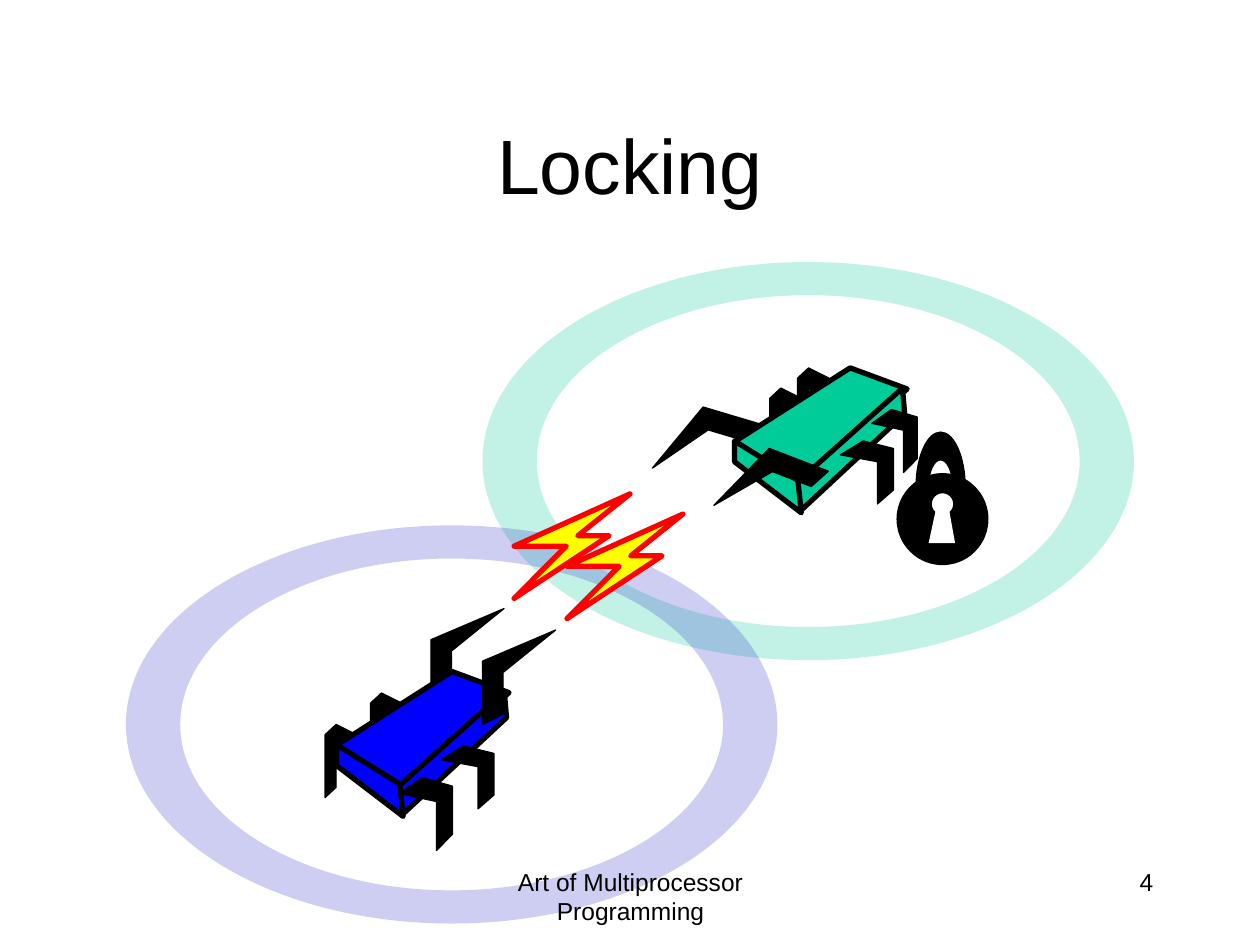
from dataclasses import dataclass
from math import cos, pi, sin

from lxml.etree import SubElement
from pptx import Presentation
from pptx.dml.color import RGBColor
from pptx.enum.shapes import MSO_SHAPE as Preset
from pptx.enum.text import MSO_ANCHOR as Anchor, PP_ALIGN as Align
from pptx.oxml.ns import qn
from pptx.util import Inches, Pt


@dataclass(frozen=True)
class Theme:
    """Colours, type sizes and line widths of the slide."""
    black: str = "000000"
    white: str = "FFFFFF"
    green: str = "00CC99"
    blue: str = "0000FF"
    violet: str = "3333CC"
    yellow: str = "FFFF00"
    red: str = "FF0000"
    font: str = "Arial"
    title: int = 44
    footer: int = 14
    hairline: float = 0.75
    bold_line: float = 3
    ring_alpha: int = 24


THEME = Theme()

FORELEG = [(0, 1), (0.28, 0.89), (0.28, 0.45), (1, 0), (0, 0.33)]
MIRRORED_FORELEG = [(1 - x, y) for x, y in FORELEG]
FAR_LEG = [(1, 0.14), (0.35, 0), (0, 0.14), (0, 1), (0.35, 0.86), (0.35, 0.29), (1, 0.43)]
NEAR_LEG = [(0.43, 0), (0, 0.22), (0.7, 0.33), (0.7, 1), (1, 0.78), (1, 0.12)]
BODY_TOP = [(0.67, 0), (0, 0.63), (0.38, 1), (1, 0.18)]
BODY_SIDE = [(0.98, 0), (0, 0.76), (0.02, 1), (1, 0.21)]
BODY_FRONT = [(0, 0), (0, 0.29), (1, 1), (0.95, 0.55)]
BOLT = [(0, 1), (0.45, 0.5), (0, 0.5), (1, 0), (0.55, 0.4), (0.82, 0.4)]
KEYHOLE = [(0, 1), (0.29, 0), (0.76, 0), (1, 1)]


def arc(centre, radii, start, quarters, turn=1):
    """Return the start, control and end points of quarter-ellipse curves."""
    def point(angle, pull=0):
        """Return a point on the ellipse, pulled along its tangent."""
        return (centre[0] + radii[0] * (cos(angle) - pull * sin(angle)),
                centre[1] + radii[1] * (sin(angle) + pull * cos(angle)))

    pull = turn * 4 / 3 * (2 ** 0.5 - 1)
    points = [point(start)]
    for quarter in range(quarters):
        here = start + turn * quarter * pi / 2
        there = here + turn * pi / 2
        points += [point(here, pull), point(there, -pull), point(there)]
    return points


def bend(outline, starts):
    """Turn the three line segments from each start into one curve."""
    segments = list(outline._element.iter(qn("a:lnTo")))
    for start in starts:
        curve, *others = segments[start:start + 3]
        curve.tag = qn("a:cubicBezTo")
        for other in others:
            curve.append(other[0])
            other.getparent().remove(other)


def paint(shape, fill, line=None, width=THEME.hairline):
    """Apply a solid fill and a round-jointed line, or no line."""
    shape.shadow.inherit = False
    shape.fill.solid()
    shape.fill.fore_color.rgb = RGBColor.from_string(fill)
    if line is None:
        shape.line.fill.background()
        return
    shape.line.color.rgb = RGBColor.from_string(line)
    shape.line.width = Pt(width)
    SubElement(shape.line._get_or_add_ln(), qn("a:round"))


def draw(shapes, contours, box, fill, line=None, width=THEME.hairline):
    """Stretch unit contours over a box and paint the resulting outline."""
    left, top, wide, high = box
    placed = [[(Inches(left + x * wide), Inches(top + y * high)) for x, y in contour]
              for contour in contours]
    builder = shapes.build_freeform(*placed[0][0])
    builder.add_line_segments(placed[0][1:], close=True)
    for contour in placed[1:]:
        builder.move_to(*contour[0])
        builder.add_line_segments(contour[1:], close=True)
    outline = builder.convert_to_shape()
    paint(outline, fill, line, width)
    return outline


def add_ring(slide, box, color):
    """Draw a translucent elliptical ring."""
    centre = (0.5, 0.5)
    outer = arc(centre, centre, pi, 4)
    inner = arc(centre, (5 / 12, 5 / 12), pi, 4, -1)
    ring = draw(slide.shapes, [outer, inner], box, color)
    bend(ring, range(0, 24, 3))
    shade = ring.fill._xPr.find(qn("a:solidFill"))[0]
    SubElement(shade, qn("a:alpha")).set("val", str(THEME.ring_alpha * 1000))


def add_spider(slide, origin, color, far_legs, near_legs, forelegs, outline, turns=(0, 0)):
    """Draw a boxy spider whose legs are placed relative to its body."""
    x, y = origin
    spider = slide.shapes.add_group_shape().shapes

    def part(contour, offset, fill=THEME.black, width=THEME.hairline):
        """Draw one part of the spider at an offset from its body."""
        dx, dy, wide, high = offset
        return draw(spider, [contour], (x + dx, y + dy, wide, high), fill, THEME.black, width)

    def foreleg(index):
        """Draw one foreleg and turn it."""
        part(outline, (*forelegs[index], 0.58, 0.75)).rotation = turns[index]

    foreleg(0)
    for offset in far_legs:
        part(FAR_LEG, (*offset, 0.25, 0.58))
    part(BODY_TOP, (0, 0, 1.37, 0.93), color, THEME.bold_line)
    part(BODY_SIDE, (0.5, 0.16, 0.85, 0.98), color, THEME.bold_line)
    part(BODY_FRONT, (0, 0.58, 0.53, 0.57), color, THEME.bold_line)
    for offset in near_legs:
        part(NEAR_LEG, offset)
    foreleg(1)


def add_padlock(slide, left, top):
    """Draw a round padlock with a keyhole and a shackle."""
    padlock = slide.shapes.add_group_shape().shapes
    for dx, dy, size, fill in ((0, 0.33, 0.72, THEME.black), (0.27, 0.48, 0.18, THEME.white)):
        disc = padlock.add_shape(Preset.OVAL, Inches(left + dx), Inches(top + dy),
                                 Inches(size), Inches(size))
        paint(disc, fill, THEME.black)
    draw(padlock, [KEYHOLE], (left + 0.25, top + 0.6, 0.21, 0.28), THEME.white)
    bow = arc((0.5, 1), (0.5, 1), pi, 2) + arc((0.5, 1), (0.25, 0.5), 0, 2, -1)
    shackle = draw(padlock, [bow], (left + 0.15, top, 0.39, 0.44), THEME.black, THEME.black)
    bend(shackle, (0, 3, 7, 10))


def add_bolt(slide, left, top):
    """Draw one lightning bolt."""
    draw(slide.shapes, [BOLT], (left, top, 0.92, 0.83), THEME.yellow, THEME.red, THEME.bold_line)


def add_label(slide, box, text, size, align, anchor=Anchor.TOP):
    """Place one paragraph of text in a box."""
    frame = slide.shapes.add_textbox(*map(Inches, box)).text_frame
    frame.word_wrap = True
    frame.vertical_anchor = anchor
    frame.text = text
    paragraph = frame.paragraphs[0]
    paragraph.alignment = align
    font = paragraph.runs[0].font
    font.name = THEME.font
    font.size = Pt(size)
    font.color.rgb = RGBColor.from_string(THEME.black)


def add_locking_slide(deck):
    """Build the slide on which two spiders contend for a lock."""
    slide = deck.slides.add_slide(deck.slide_layouts[6])
    add_label(slide, (7.17, 6.83, 2.08, 0.5), "4", THEME.footer, Align.RIGHT)
    add_spider(slide, (5.83, 2.92), THEME.green,
               far_legs=[(0.5, 0), (0.28, 0.16)],
               near_legs=[(1.09, 0.33, 0.36, 0.5), (0.84, 0.58, 0.42, 0.5)],
               forelegs=[(-0.5, 0.25), (0, 0.58)],
               outline=MIRRORED_FORELEG, turns=(286.6, 291.1))
    add_padlock(slide, 7.12, 3.43)
    add_ring(slide, (3.83, 2.08, 5.17, 3.16), THEME.green)
    add_ring(slide, (1, 4.17, 5.17, 3.16), THEME.violet)
    add_label(slide, (0.75, 0.67, 8.5, 1.25), "Locking", THEME.title, Align.CENTER, Anchor.MIDDLE)
    add_bolt(slide, 4.08, 3.92)
    add_spider(slide, (2.67, 5.33), THEME.blue,
               far_legs=[(-0.09, 0.42), (0.27, 0.17)],
               near_legs=[(0.5, 0.84, 0.42, 0.58), (0.83, 0.59, 0.42, 0.5)],
               forelegs=[(0.75, -0.5), (1.16, -0.33)],
               outline=FORELEG)
    add_bolt(slide, 4.5, 4.08)
    add_label(slide, (3.42, 6.83, 3.17, 0.5), "Art of Multiprocessor Programming",
              THEME.footer, Align.CENTER)


def main():
    """Create and save the deck."""
    deck = Presentation()
    deck.slide_width, deck.slide_height = Inches(10), Inches(7.5)
    add_locking_slide(deck)
    deck.save("out.pptx")


if __name__ == "__main__":
    main()
